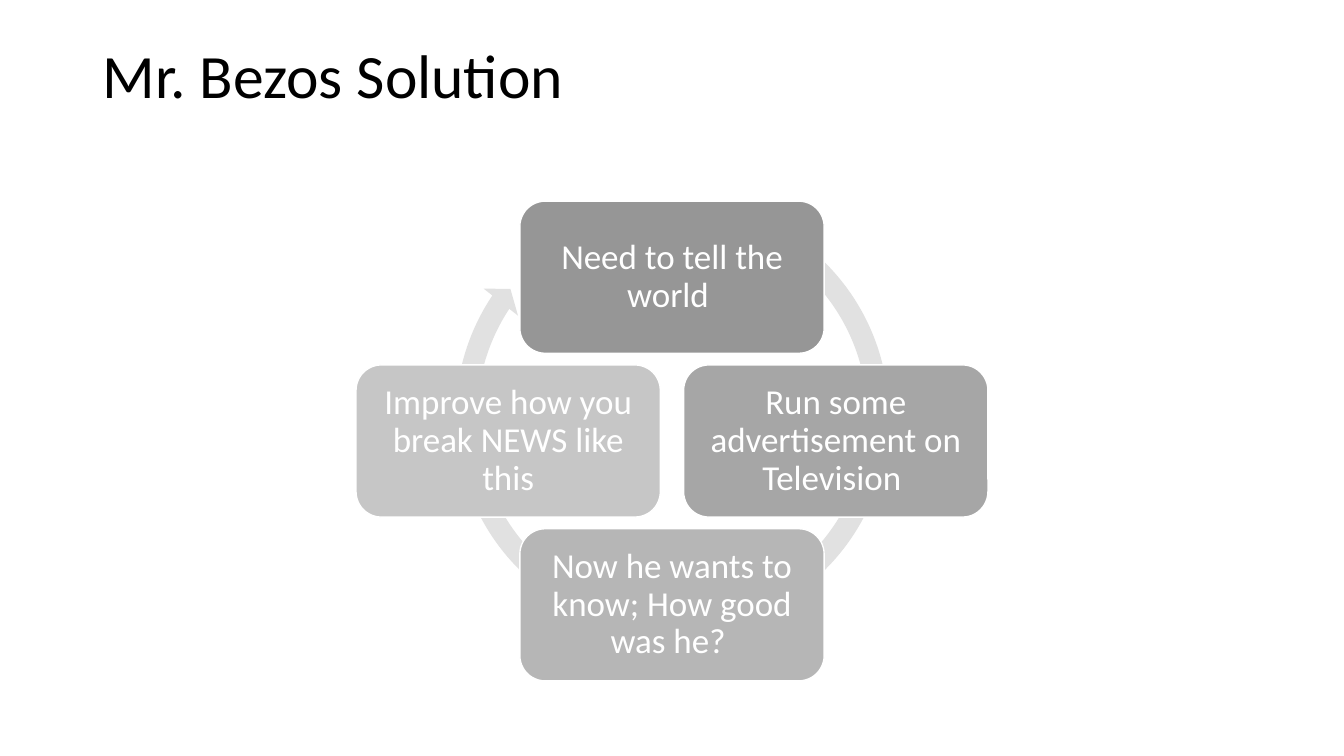
import dataclasses
import math

import pptx
import pptx.dml.color
import pptx.enum.shapes
import pptx.enum.text
import pptx.util

Pt = pptx.util.Pt
SHAPE = pptx.enum.shapes.MSO_SHAPE
ALIGN = pptx.enum.text.PP_ALIGN
ANCHOR = pptx.enum.text.MSO_ANCHOR


@dataclasses.dataclass(frozen=True)
class Theme:
    """Hold the colours, font and type sizes of the slide."""
    font: str = "Calibri"
    ink: str = "000000"
    paper: str = "FFFFFF"
    ring: str = "E1E1E1"
    cards: tuple = ("969696", "A6A6A6", "B6B6B6", "C6C6C6")
    head: int = 44
    label: int = 25


THEME = Theme()
MID_X, MID_Y = 480, 315
STEP = 117
CARD_W, CARD_H = 217.4, 108.7
RING = (317.5, 134.6, 325.4)
BEND = (0.047, 2.729, 128.177, 180.402, 0.048)
STAGES = (
    "Need to tell the world ",
    "Run some advertisement on Television ",
    "Now he wants to know; How good was he? ",
    "Improve how you break NEWS like this",
)


def color(code):
    """Turn a hex code into a colour."""
    return pptx.dml.color.RGBColor.from_string(code)


def write(shape, text, *, size, ink, align, anchor, pad):
    """Put formatted text into a shape."""
    frame = shape.text_frame
    frame.word_wrap = True
    frame.auto_size = pptx.enum.text.MSO_AUTO_SIZE.NONE
    frame.vertical_anchor = anchor
    frame.margin_left = frame.margin_right = Pt(pad[0])
    frame.margin_top = frame.margin_bottom = Pt(pad[1])
    para = frame.paragraphs[0]
    para.alignment = align
    para.line_spacing = 0.9
    run = para.add_run()
    run.text = text
    run.font.name = THEME.font
    run.font.size = Pt(size)
    run.font.color.rgb = color(ink)


def block(slide, kind, box, fill, line=None):
    """Add a flat filled shape with an optional outline."""
    shape = slide.shapes.add_shape(kind, *map(Pt, box))
    shape.shadow.inherit = False
    shape.fill.solid()
    shape.fill.fore_color.rgb = color(fill)
    if line:
        shape.line.color.rgb = color(line)
        shape.line.width = Pt(1)
    else:
        shape.line.fill.background()
    return shape


def title(slide, text):
    """Place and fill the slide title."""
    shape = slide.shapes.title
    shape.left, shape.top = Pt(66), Pt(28.8)
    shape.width, shape.height = Pt(828), Pt(104.4)
    write(shape, text, size=THEME.head, ink=THEME.ink,
          align=ALIGN.LEFT, anchor=ANCHOR.TOP, pad=(7.2, 3.6))


def ring(slide):
    """Draw the round arrow behind the cards."""
    left, top, side = RING
    shape = block(slide, SHAPE.CIRCULAR_ARROW, (left, top, side, side), THEME.ring)
    for spot, value in enumerate(BEND):
        shape.adjustments[spot] = value


def card(slide, spot, text):
    """Draw one stage, clockwise from the top."""
    turn = math.tau * spot / len(STAGES)
    left = MID_X + STEP * math.sin(turn) - CARD_W / 2
    top = MID_Y - STEP * math.cos(turn) - CARD_H / 2
    shape = block(slide, SHAPE.ROUNDED_RECTANGLE, (left, top, CARD_W, CARD_H),
                  THEME.cards[spot], THEME.paper)
    write(shape, text, size=THEME.label, ink=THEME.paper,
          align=ALIGN.CENTER, anchor=ANCHOR.MIDDLE, pad=(7.5, 7.5))


def main():
    """Build and save the slide."""
    deck = pptx.Presentation()
    deck.slide_width, deck.slide_height = Pt(960), Pt(540)
    slide = deck.slides.add_slide(deck.slide_layouts.get_by_name("Title Only"))
    title(slide, "Mr. Bezos Solution")
    ring(slide)
    for spot, text in enumerate(STAGES):
        card(slide, spot, text)
    deck.save("out.pptx")


if __name__ == "__main__":
    main()
